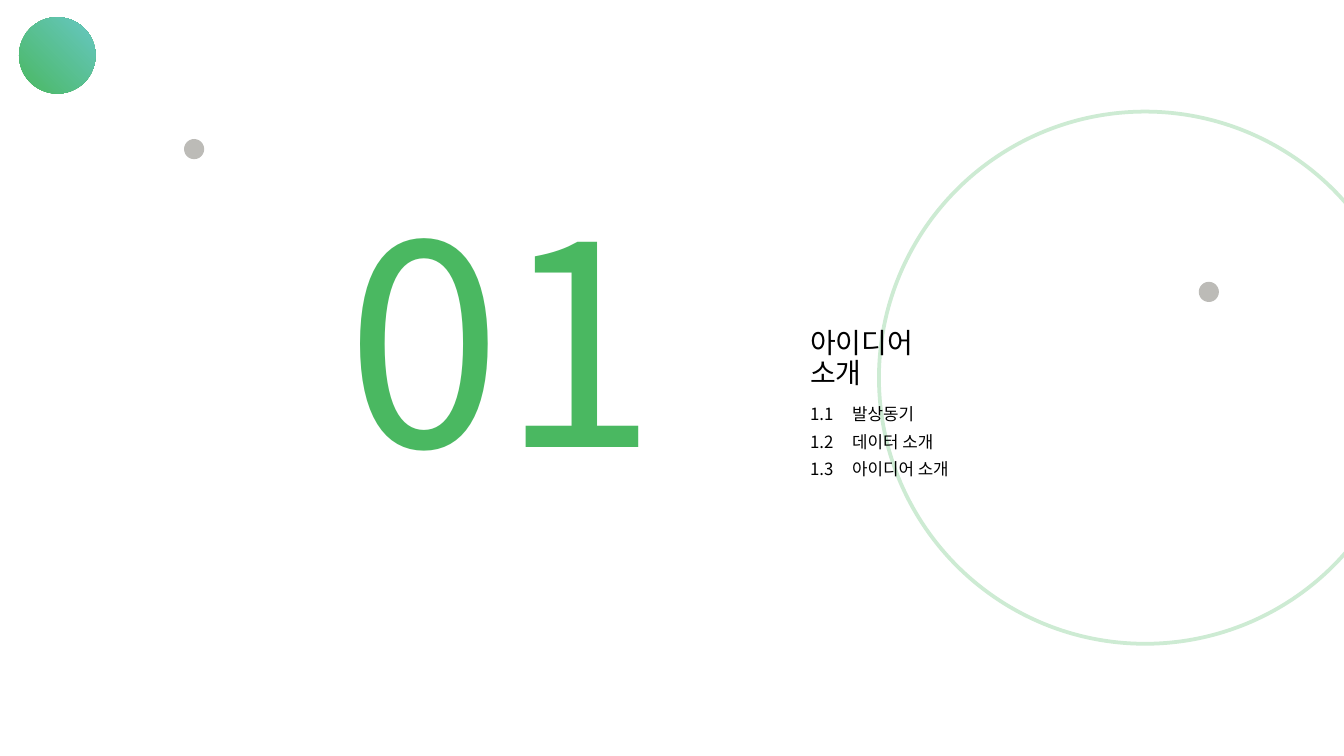
from lxml import etree
from pptx import Presentation
from pptx.dml.color import RGBColor
from pptx.enum.shapes import MSO_SHAPE
from pptx.oxml.ns import qn
from pptx.util import Pt

OVAL = MSO_SHAPE.OVAL
GREEN = RGBColor(0x4A, 0xB8, 0x61)
TEAL = RGBColor(0x67, 0xC7, 0xC3)
PALE_GREEN = RGBColor(0xCD, 0xEB, 0xD3)
GRAY = RGBColor(0xBC, 0xBB, 0xB7)
BLACK = RGBColor(0, 0, 0)
FONT = "Noto Sans CJK KR"
TEXT_LEFT = 429


def add_circle(left, top, size):
    sp = s.shapes.add_shape(OVAL, Pt(left), Pt(top), Pt(size), Pt(size))
    sp.shadow.inherit = False
    sp.line.fill.background()
    return sp


def add_text(text, left, top, width, height, size, color, spacing=0.87):
    sp = s.shapes.add_textbox(Pt(left), Pt(top), Pt(width), Pt(height))
    tf = sp.text_frame
    tf.word_wrap = True
    tf.margin_left = tf.margin_right = Pt(5)
    tf.margin_top = tf.margin_bottom = Pt(2.9)
    p = tf.paragraphs[0]
    p.text = text
    p.line_spacing = spacing
    r = p.runs[0]
    r.font.size = Pt(size)
    r.font.name = FONT
    r.font.color.rgb = color
    ea = etree.SubElement(r.font._element, qn("a:ea"))
    ea.set("typeface", FONT)
    return p


prs = Presentation()
prs.slide_width = Pt(720)
prs.slide_height = Pt(405)
s = prs.slides.add_slide(prs.slide_layouts[6])

ring = add_circle(470.9, 59.8, 285.1)
ring.fill.background()
ring.line.color.rgb = PALE_GREEN
ring.line.width = Pt(2)

items = [("1.1\t발상동기", 70), ("1.2\t데이터 소개", 80), ("1.3\t아이디어 소개", 88)]
for i, (text, width) in enumerate(items):
    p = add_text(text, TEXT_LEFT, 215 + i * 14.8, width, 16.6, 9, BLACK)
    tabs = etree.SubElement(p._p.get_or_add_pPr(), qn("a:tabLst"))
    etree.SubElement(tabs, qn("a:tab"), pos=str(Pt(22.5)), algn="l")

add_text("아이디어 소개", TEXT_LEFT, 174.2, 90, 23.8, 15, BLACK)
add_text("01", 180.7, 108.7, 198.7, 187.2, 150, GREEN, 0.89)

ball = add_circle(10.2, 9.2, 41)
ball.fill.gradient()
ball.fill.gradient_angle = 45
for stop, color, position in zip(ball.fill.gradient_stops, (GREEN, TEAL), (0, 1)):
    stop.color.rgb = color
    stop.position = position

for left, top in [(642.2, 151), (98.6, 74.5)]:
    dot = add_circle(left, top, 10.8)
    dot.fill.solid()
    dot.fill.fore_color.rgb = GRAY

prs.save("out.pptx")
